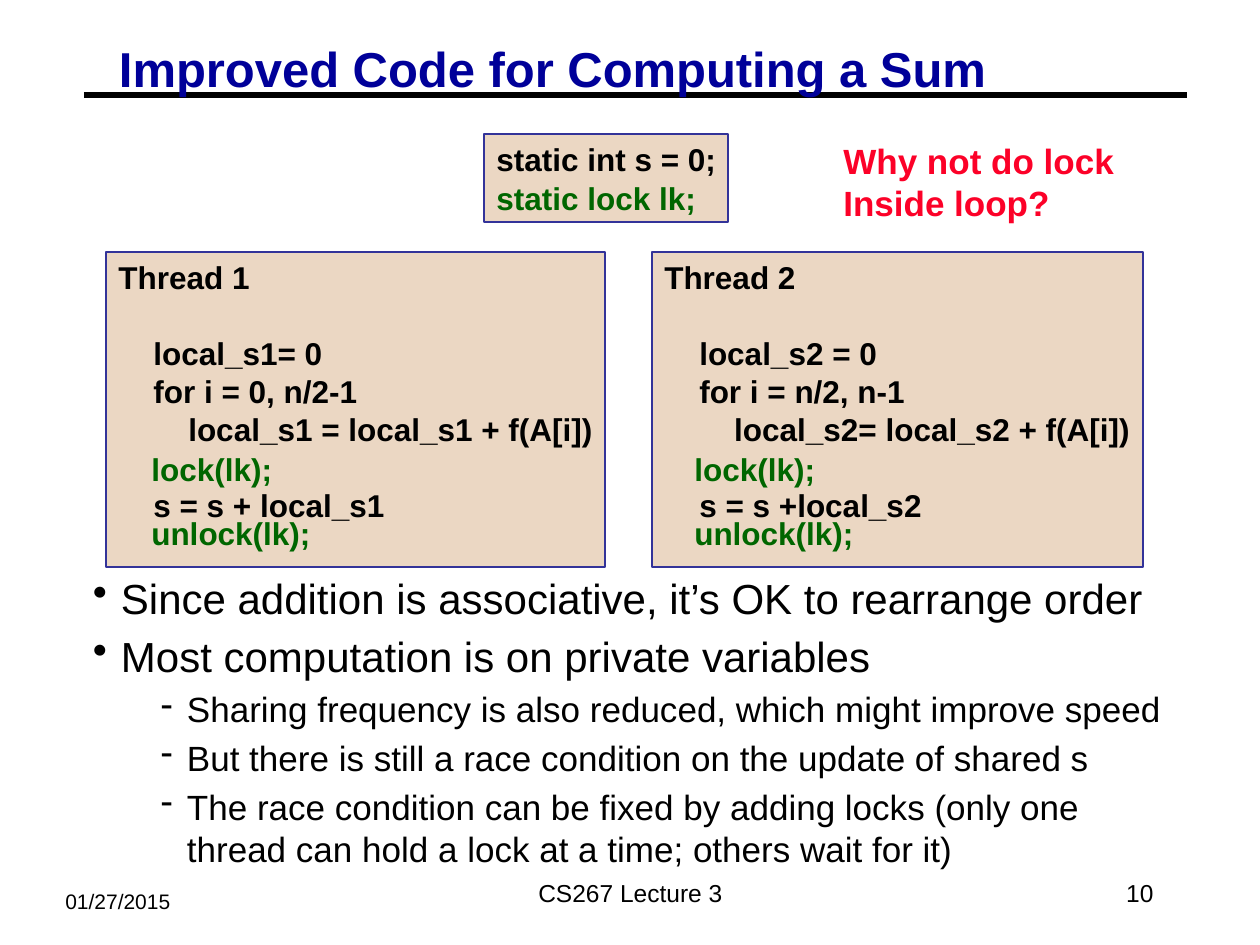
from lxml import etree
from pptx import Presentation, util as u
from pptx.dml.color import RGBColor
from pptx.enum import shapes, text
from pptx.oxml.ns import qn

PX = 914400 // 126
BLACK = RGBColor(0, 0, 0)
NAVY = RGBColor(0, 0, 0x99)
BLUE = RGBColor(0x33, 0x33, 0x99)
GREEN = RGBColor(0, 0x66, 0)
RED = RGBColor(0xFC, 0x01, 0x28)
TAN = RGBColor(0xEB, 0xD7, 0xC3)
LEFT, MID, RIGHT = text.PP_ALIGN.LEFT, text.PP_ALIGN.CENTER, text.PP_ALIGN.RIGHT
LEAD = 1.205  # line height per point of type


def style(par, size, color=BLACK, bold=False, lead=LEAD):
    par.line_spacing = u.Pt(round(size * lead, 1))
    for run in par.runs:
        font = run.font
        font.name, font.size, font.bold = "Arial", u.Pt(size), bold
        font.color.rgb = color


def label(words, x, y, w, h, size, color=BLACK, bold=False, align=LEFT, fill=None):
    if fill is None:
        box = slide.shapes.add_textbox(x * PX, y * PX, w * PX, h * PX)
    else:
        box = slide.shapes.add_shape(
            shapes.MSO_SHAPE.RECTANGLE, x * PX, y * PX, w * PX, h * PX)
        box.shadow.inherit = False
        box.fill.solid()
        box.fill.fore_color.rgb = fill
        box.line.color.rgb = BLUE
        box.line.width = u.Pt(1)
    frame = box.text_frame
    frame.text = words
    frame.word_wrap = False
    frame.vertical_anchor = text.MSO_ANCHOR.TOP
    for par in frame.paragraphs:
        par.alignment = align
        style(par, size, color, bold)
    return frame


deck = Presentation()
deck.slide_width, deck.slide_height = 1260 * PX, 945 * PX
slide = deck.slides.add_slide(deck.slide_layouts[5])

# Title above its rule
title = slide.shapes.title
title.left, title.top, title.width, title.height = [n * PX for n in (110, 42, 886, 58)]
frame = title.text_frame
frame.text = "Improved Code for Computing a Sum"
frame.word_wrap = True
frame.auto_size = text.MSO_AUTO_SIZE.NONE
frame.vertical_anchor = text.MSO_ANCHOR.TOP
frame.margin_left = frame.margin_right = 9 * PX
frame.margin_top = frame.margin_bottom = 4 * PX
frame.paragraphs[0].alignment = LEFT
style(frame.paragraphs[0], 28, NAVY, True, lead=1.05)

rule = slide.shapes.add_connector(
    shapes.MSO_CONNECTOR.STRAIGHT, 84 * PX, 95 * PX, 1187 * PX, 95 * PX)
rule.line.color.rgb = BLACK
rule.line.width = u.Pt(3.75)
etree.SubElement(rule._element.spPr, qn("a:effectLst"))
title._element.addprevious(rule._element)

# Footer
label("01/27/2015", 53, 882, 242, 38, 12)
for words, x, w, align in [("CS267 Lecture 3", 431, 399, MID), ("10", 903, 263, RIGHT)]:
    foot = label(words, x, 861, w, 63, 14, align=align)
    foot.vertical_anchor = text.MSO_ANCHOR.MIDDLE

# Thread code, with room left for the lock calls
threads = [
    (106, 499, 139, ["Thread 1", "    local_s1= 0", "    for i = 0, n/2-1",
                     "        local_s1 = local_s1 + f(A[i])", "    s = s + local_s1"]),
    (652, 491, 682, ["Thread 2", "    local_s2 = 0", "    for i = n/2, n-1",
                     "        local_s2= local_s2 + f(A[i])", "    s = s +local_s2"]),
]
for x, w, inset, code in threads:
    frame = label("\n".join(code), x, 252, w, 315, 18, bold=True, fill=TAN)
    for row in (1, 4):
        frame.paragraphs[row].space_before = u.Pt(21.7)
    label("lock(lk);", inset, 444, 152, 50, 18, GREEN, True)
    label("unlock(lk);", inset, 508, 192, 50, 18, GREEN, True)

# Shared variables and the question
label("static int s = 0;", 484, 134, 244, 88, 18, bold=True, fill=TAN)
label("static lock lk;", 484, 173, 232, 50, 18, GREEN, True)
label("Why not do lock\nInside loop?", 831, 133, 302, 97, 20, RED, True)

# Bullets
points = [
    (0, "Since addition is associative, it’s OK to rearrange order"),
    (0, "Most computation is on private variables"),
    (1, "Sharing frequency is also reduced, which might improve speed"),
    (1, "But there is still a race condition on the update of shared s"),
    (1, "The race condition can be fixed by adding locks (only one thread "
        "can hold a lock at a time; others wait for it)"),
]
levels = [("•", 28, 28, 24, 4.5), ("-", 94, 26, 20, 3.7)]
frame = label("\n".join(words for _, words in points), 84, 568, 1103, 304, 24)
frame.word_wrap = True
frame.margin_left = frame.margin_right = 9 * PX
frame.margin_top = frame.margin_bottom = 4 * PX
for i, (par, (level, _)) in enumerate(zip(frame.paragraphs, points)):
    mark, left, hang, size, gap = levels[level]
    props = par._p.get_or_add_pPr()
    props.set("marL", str(left * PX))
    props.set("indent", str(-hang * PX))
    etree.SubElement(props, qn("a:buChar")).set("char", mark)
    par.level = level
    if i:
        par.space_before = u.Pt(gap)
    style(par, size)

deck.save("out.pptx")
